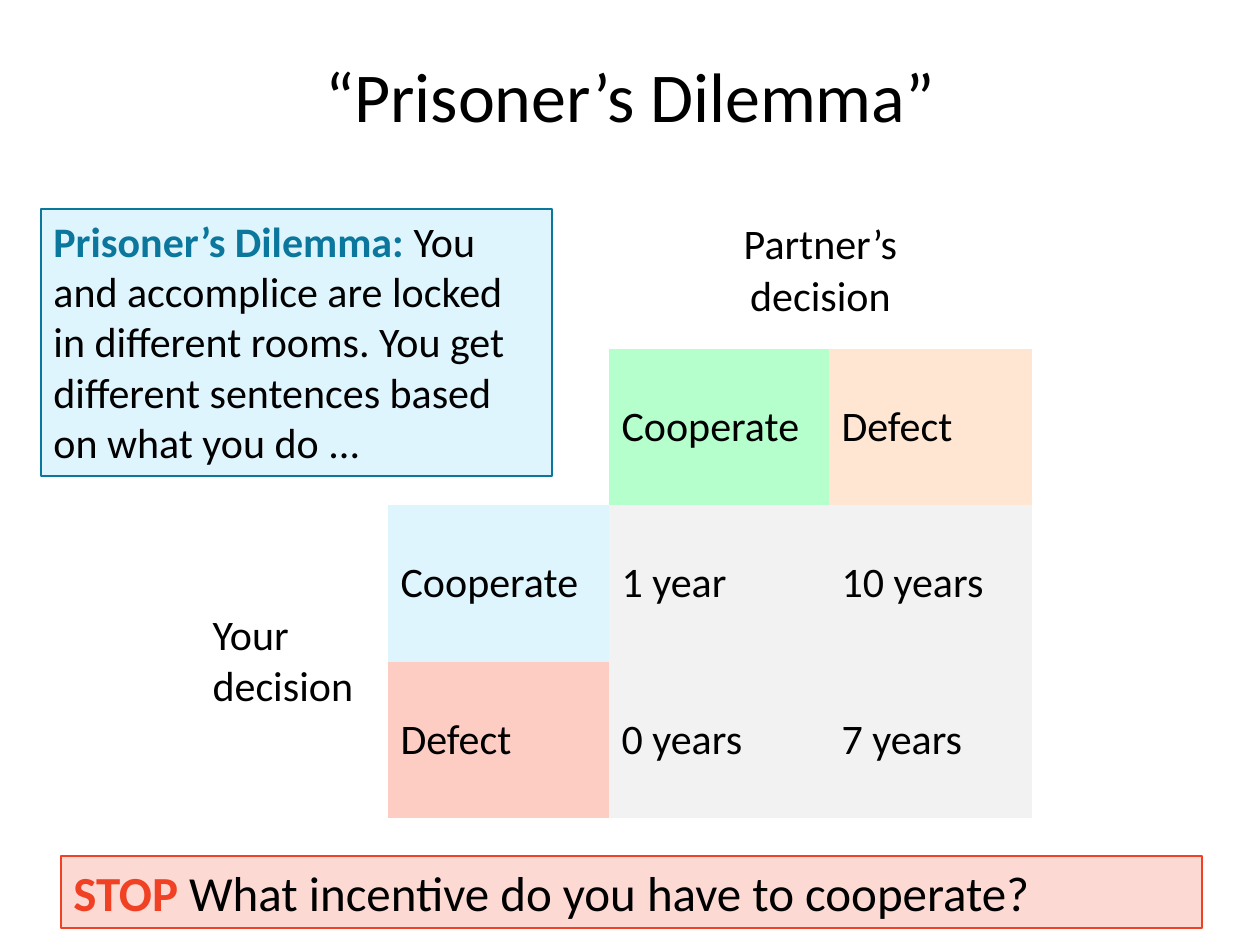
from pptx import Presentation
from pptx.dml.color import RGBColor
from pptx.enum.shapes import MSO_SHAPE
from pptx.enum.text import MSO_ANCHOR, PP_ALIGN
from pptx.util import Emu, Pt

PX = 914400 / 126
NO_STYLE = "{2D5ABB26-0587-4C30-8999-92F81FD0307C}"


def px(*lengths):
    """Turn pixel lengths into EMU."""
    return [Emu(round(length * PX)) for length in lengths]


def add_span(para, text, size, color="000000", bold=False):
    span = para.add_run()
    span.text = text
    for name, value in {"name": "Calibri", "size": Pt(size), "bold": bold}.items():
        setattr(span.font, name, value)
    span.font.color.rgb = RGBColor.from_string(color)


deck = Presentation()
deck.slide_width, deck.slide_height = px(1260, 944)
page = deck.slides.add_slide(deck.slide_layouts[5])

# Title
title = page.shapes.title
title.left, title.top, title.width, title.height = px(92, 43, 1076, 103)
title.text_frame.vertical_anchor = MSO_ANCHOR.MIDDLE
title_para = title.text_frame.paragraphs[0]
title_para.alignment = PP_ALIGN.CENTER
add_span(title_para, "“Prisoner’s Dilemma”", 40)

# Payoff table: each cell is (text, fill)
GREY = "F2F2F2"
payoffs = [
    [None, None, ("Partner’s\ndecision", None), None],
    [None, None, ("Cooperate", "B4FFCC"), ("Defect", "FFE6D3")],
    [("Your decision", None), ("Cooperate", "DFF5FD"), ("1 year", GREY), ("10 years", GREY)],
    [None, ("Defect", "FDCDC4"), ("0 years", GREY), ("7 years", GREY)],
]
frame = page.shapes.add_table(4, 4, *px(200, 193, 832, 625))
table = frame.table
table.first_row = table.horz_banding = False
table._tbl.tblPr.find("{*}tableStyleId").text = NO_STYLE
for column, width in zip(table.columns, px(188, 221, 220, 203)):
    column.width = width
for row in table.rows:
    row.height = px(156.25)[0]
table.cell(0, 2).merge(table.cell(0, 3))
table.cell(2, 0).merge(table.cell(3, 0))

for row_index, row in enumerate(payoffs):
    for column_index, entry in enumerate(row):
        cell = table.cell(row_index, column_index)
        text, fill = entry or ("", None)
        if fill:
            cell.fill.solid()
            cell.fill.fore_color.rgb = RGBColor.from_string(fill)
        else:
            cell.fill.background()
        cell.vertical_anchor = MSO_ANCHOR.MIDDLE
        for line_index, line in enumerate(text.split("\n") if text else []):
            body = cell.text_frame
            para = body.add_paragraph() if line_index else body.paragraphs[0]
            para.alignment = PP_ALIGN.CENTER if row_index == 0 else PP_ALIGN.LEFT
            add_span(para, line, 24)

# Callouts: place, fill, accent, size, lead words, remaining words
callouts = [
    ((61, 856, 1141, 72), "FCD9D3", "F14124", 28, "STOP ",
     "What incentive do you have to cooperate?"),
    ((41, 209, 511, 267), "DFF5FD", "0C779D", 24, "Prisoner’s Dilemma: ",
     "You and accomplice are locked in different rooms. "
     "You get different sentences based on what you do ..."),
]
for place, fill, accent, size, lead, rest in callouts:
    box = page.shapes.add_shape(MSO_SHAPE.RECTANGLE, *px(*place))
    box.shadow.inherit = False
    box.fill.solid()
    box.fill.fore_color.rgb = RGBColor.from_string(fill)
    box.line.color.rgb = RGBColor.from_string(accent)
    box.line.width = Pt(0.75)
    box.text_frame.word_wrap = True
    box.text_frame.vertical_anchor = MSO_ANCHOR.TOP
    para = box.text_frame.paragraphs[0]
    para.alignment = PP_ALIGN.LEFT
    add_span(para, lead, size, accent, bold=True)
    add_span(para, rest, size)

deck.save("out.pptx")
